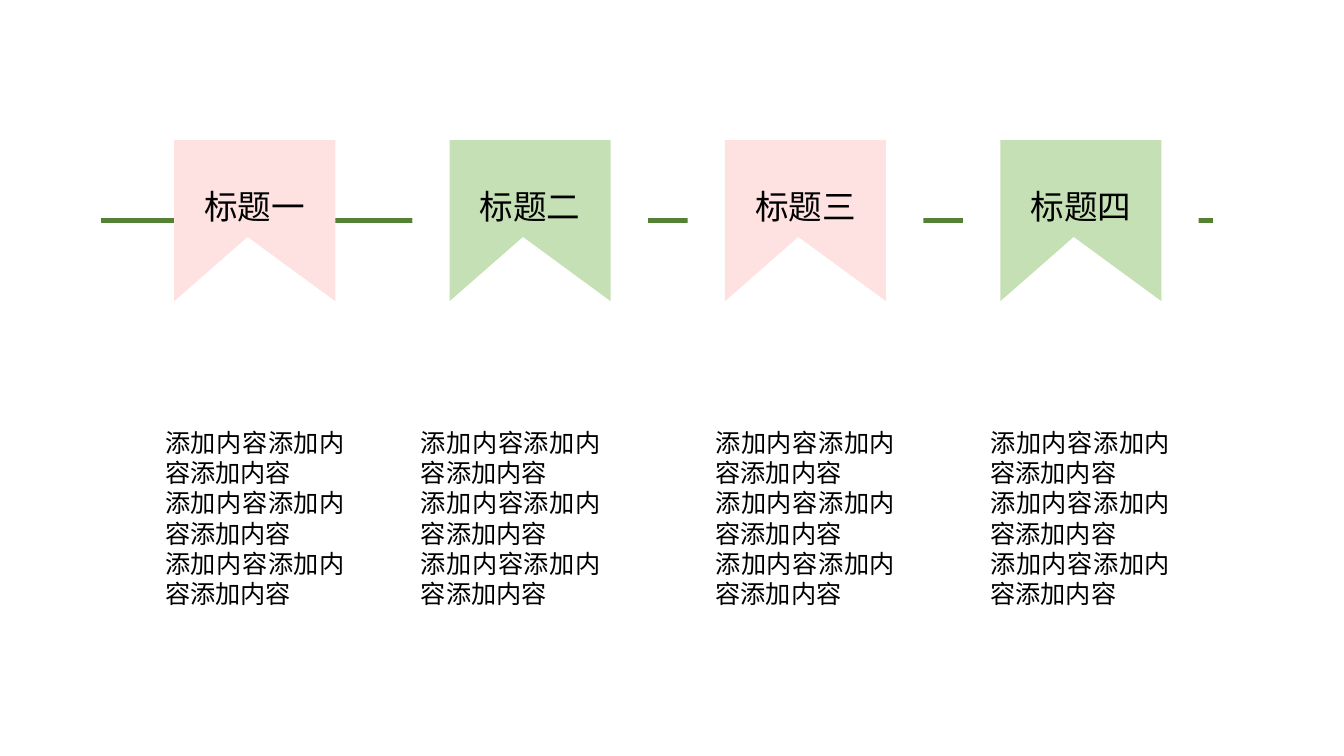
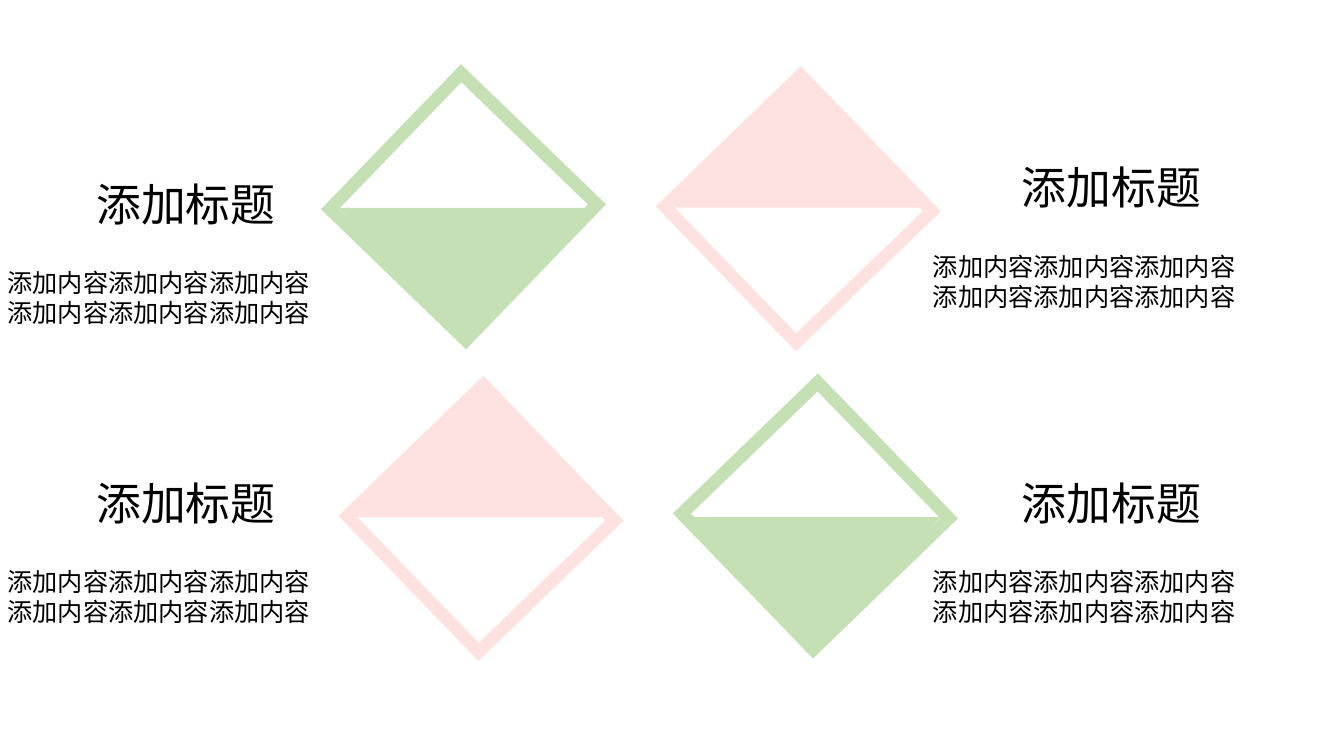
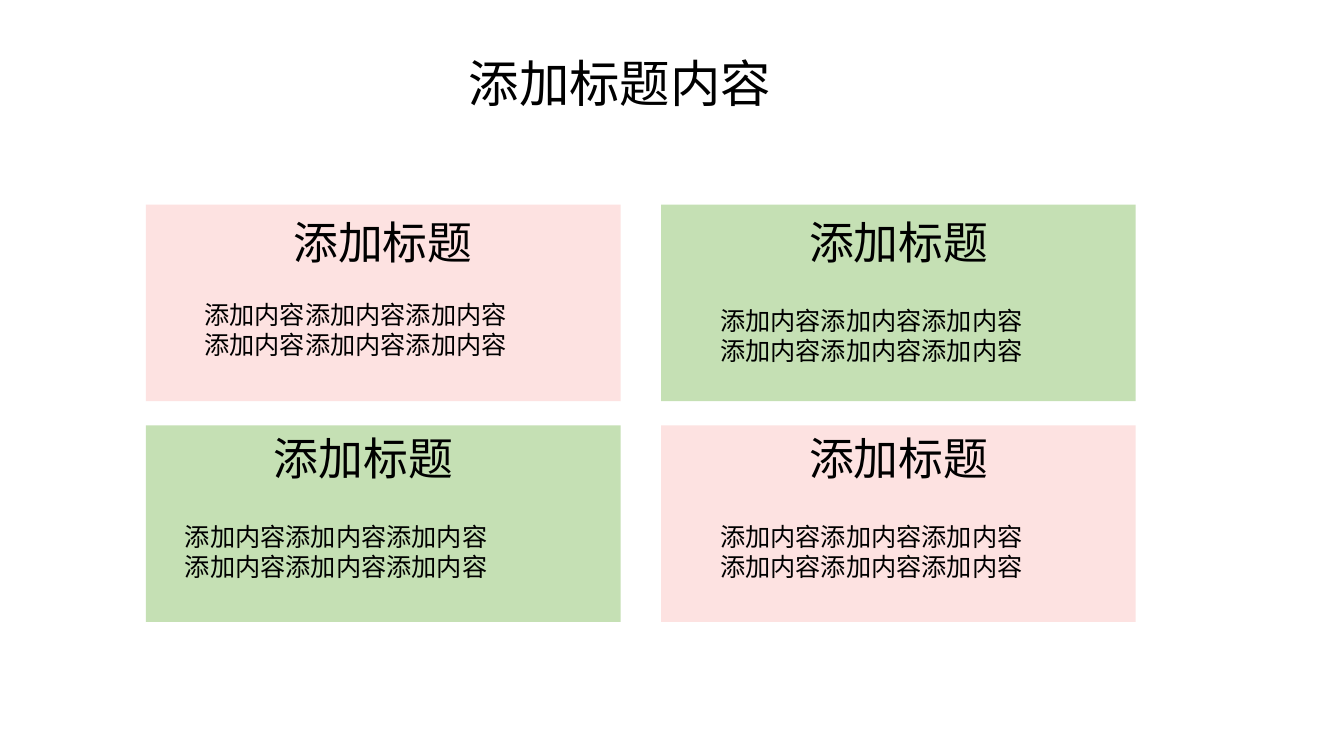
from dataclasses import dataclass
from itertools import product

from lxml.etree import SubElement
from pptx import Presentation
from pptx.dml.color import RGBColor
from pptx.enum.shapes import MSO_CONNECTOR as Connector, MSO_SHAPE as Preset
from pptx.enum.text import MSO_ANCHOR as Anchor, MSO_AUTO_SIZE as AutoSize, PP_ALIGN as Align
from pptx.oxml.ns import qn
from pptx.util import Cm, Pt

PINK = RGBColor(0xFD, 0xE2, 0xE1)
GREEN = RGBColor(0xC5, 0xE0, 0xB4)
DARK_GREEN = RGBColor(0x54, 0x82, 0x35)
WHITE = RGBColor(0xFF, 0xFF, 0xFF)
BLACK = RGBColor(0x00, 0x00, 0x00)

FONT = "Arial"
HEADING = "添加标题"
BODY = "添加内容添加内容添加内容"
TITLE_ONLY, BLANK = 5, 6

RIBBON_LEFT, RIBBON_TOP, RIBBON_PITCH, RIBBON_SIZE = 4.39, 3.53, 6.94, 4.06
HALO_MARGIN = 0.94
FRAME_SIZE, FRAME_BORDER = 5.08, 0.32
TRIANGLE_WIDTH, TRIANGLE_HEIGHT, TRIANGLE_SHIFT = 6.3, 3.18, 0.03
CARD_WIDTH, CARD_HEIGHT = 11.96, 4.95

Point = tuple[float, float]


@dataclass(frozen=True)
class Ribbon:
    """A labelled ribbon and the left edge of the text below it."""

    label: str
    color: RGBColor
    body_left: float
    halo: bool = True


@dataclass(frozen=True)
class Diamond:
    """A half-filled diamond given by its centre."""

    x: float
    y: float
    color: RGBColor
    rotation: int
    points_up: bool


@dataclass(frozen=True)
class Caption:
    """A heading with two lines of text below it."""

    left: float
    top: float
    gap: float = 2.29


RIBBONS = [
    Ribbon("标题一", PINK, 3.91, halo=False),
    Ribbon("标题二", GREEN, 10.36),
    Ribbon("标题三", PINK, 17.78),
    Ribbon("标题四", GREEN, 24.71),
]
DIAMONDS = [
    Diamond(12.12, 13.06, PINK, 226, True),
    Diamond(11.68, 5.21, GREEN, 134, False),
    Diamond(20.55, 13.0, GREEN, 226, False),
    Diamond(20.12, 5.26, PINK, 226, True),
]
DIAMOND_CAPTIONS = [
    Caption(2.18, 11.86),
    Caption(25.5, 11.86),
    Caption(2.18, 4.32),
    Caption(25.5, 3.91),
]
CARD_CAPTIONS = [
    Caption(7.14, 5.28, gap=2.13),
    Caption(20.14, 5.28),
    Caption(6.65, 10.72),
    Caption(20.14, 10.72),
]


def apply_format(target, values: dict) -> None:
    """Set each named attribute on the target."""
    for name, value in values.items():
        setattr(target, name, value)


def write_text(shape, lines: list[str], size: int, align=Align.LEFT, wrap: bool = False) -> None:
    """Write one paragraph per line in the shared text style."""
    frame = shape.text_frame
    frame.text = "\n".join(lines)
    apply_format(frame, {
        "word_wrap": wrap,
        "auto_size": AutoSize.SHAPE_TO_FIT_TEXT,
        "vertical_anchor": Anchor.TOP,
    })
    for paragraph in frame.paragraphs:
        paragraph.alignment = align
        apply_format(paragraph.font, {"name": FONT, "size": Pt(size)})
        paragraph.font.color.rgb = BLACK


def add_text(slide, left: float, top: float, width: float, height: float,
             lines: list[str], size: int, **options) -> None:
    """Add a text box measured in centimetres."""
    box = slide.shapes.add_textbox(Cm(left), Cm(top), Cm(width), Cm(height))
    write_text(box, lines, size, **options)


def paint(shape, color: RGBColor) -> None:
    """Give a shape a flat fill with no outline or shadow."""
    shape.shadow.inherit = False
    shape.fill.solid()
    shape.fill.fore_color.rgb = color
    shape.line.fill.background()


def add_preset(slide, preset, left: float, top: float, width: float, height: float,
               color: RGBColor):
    """Add a flat preset shape measured in centimetres."""
    shape = slide.shapes.add_shape(preset, Cm(left), Cm(top), Cm(width), Cm(height))
    paint(shape, color)
    return shape


def add_outline(slide, left: float, top: float, contours: list[list[Point]], color: RGBColor):
    """Add a flat freeform whose contours are relative to its corner."""
    placed = [[(Cm(left + x), Cm(top + y)) for x, y in contour] for contour in contours]
    builder = slide.shapes.build_freeform(*placed[0][0])
    builder.add_line_segments(placed[0][1:], close=True)
    for contour in placed[1:]:
        builder.move_to(*contour[0])
        builder.add_line_segments(contour[1:], close=True)
    shape = builder.convert_to_shape()
    paint(shape, color)
    return shape


def add_caption(slide, caption: Caption) -> None:
    """Add a heading and its text."""
    add_text(slide, caption.left, caption.top, 5.03, 1.63, [HEADING], 32)
    add_text(slide, caption.left - 2.24, caption.top + caption.gap, 9.47, 1.79,
             [BODY] * 2, 18, align=Align.JUSTIFY, wrap=True)


def add_diamond(slide, diamond: Diamond) -> None:
    """Add a tilted square frame with one half filled."""
    near, far = FRAME_BORDER, FRAME_SIZE - FRAME_BORDER
    outer = [(0, 0), (FRAME_SIZE, 0), (FRAME_SIZE, FRAME_SIZE), (0, FRAME_SIZE)]
    inner = [(near, near), (near, far), (far, far), (far, near)]
    frame = add_outline(slide, diamond.x - FRAME_SIZE / 2, diamond.y - FRAME_SIZE / 2,
                        [outer, inner], diamond.color)
    frame.rotation = diamond.rotation
    shift = -TRIANGLE_SHIFT - TRIANGLE_HEIGHT if diamond.points_up else TRIANGLE_SHIFT
    triangle = add_preset(slide, Preset.ISOSCELES_TRIANGLE, diamond.x - TRIANGLE_WIDTH / 2,
                          diamond.y + shift, TRIANGLE_WIDTH, TRIANGLE_HEIGHT, diamond.color)
    triangle.rotation = 0 if diamond.points_up else 180


def build_ribbon_slide(presentation) -> None:
    """Build the timeline of four ribbons."""
    slide = presentation.slides.add_slide(presentation.slide_layouts[BLANK])
    timeline = slide.shapes.add_connector(Connector.STRAIGHT, Cm(2.54), Cm(5.56), Cm(30.58), Cm(5.56))
    timeline.line.color.rgb = DARK_GREEN
    timeline.line.width = Pt(3.25)
    SubElement(timeline._element.spPr, qn("a:effectLst"))
    contour = [(0, 0), (RIBBON_SIZE, 0), (RIBBON_SIZE, RIBBON_SIZE), (1.85, 2.44), (0, RIBBON_SIZE)]
    halo_size = RIBBON_SIZE + 2 * HALO_MARGIN
    for index, ribbon in enumerate(RIBBONS):
        left = RIBBON_LEFT + index * RIBBON_PITCH
        if ribbon.halo:
            add_preset(slide, Preset.OVAL, left - HALO_MARGIN, RIBBON_TOP - HALO_MARGIN,
                       halo_size, halo_size, WHITE)
        add_outline(slide, left, RIBBON_TOP, [contour], ribbon.color)
        add_text(slide, left + 0.51, RIBBON_TOP + 1.02, 3.05, 1.28, [ribbon.label], 24)
        add_text(slide, ribbon.body_left, 10.64, 5.03, 4.88, [BODY] * 3, 18,
                 align=Align.JUSTIFY, wrap=True)


def build_diamond_slide(presentation) -> None:
    """Build the four diamonds and their captions."""
    slide = presentation.slides.add_slide(presentation.slide_layouts[BLANK])
    for diamond in DIAMONDS:
        add_diamond(slide, diamond)
    for caption in DIAMOND_CAPTIONS:
        add_caption(slide, caption)


def build_card_slide(presentation) -> None:
    """Build the titled grid of four cards."""
    slide = presentation.slides.add_slide(presentation.slide_layouts[TITLE_ONLY])
    title = slide.shapes.title
    apply_format(title, {"left": Cm(11.56), "top": Cm(1.19), "width": Cm(8.13), "height": Cm(1.8)})
    write_text(title, ["添加标题内容"], 36)
    corners = product((5.16, 10.72), (3.68, 16.66))
    for (top, left), color, caption in zip(corners, (PINK, GREEN, GREEN, PINK), CARD_CAPTIONS):
        add_preset(slide, Preset.RECTANGLE, left, top, CARD_WIDTH, CARD_HEIGHT, color)
        add_caption(slide, caption)


def main() -> None:
    """Build and save the presentation."""
    presentation = Presentation()
    apply_format(presentation, {"slide_width": Cm(33.87), "slide_height": Cm(19.05)})
    build_ribbon_slide(presentation)
    build_diamond_slide(presentation)
    build_card_slide(presentation)
    presentation.save("out.pptx")


if __name__ == "__main__":
    main()
